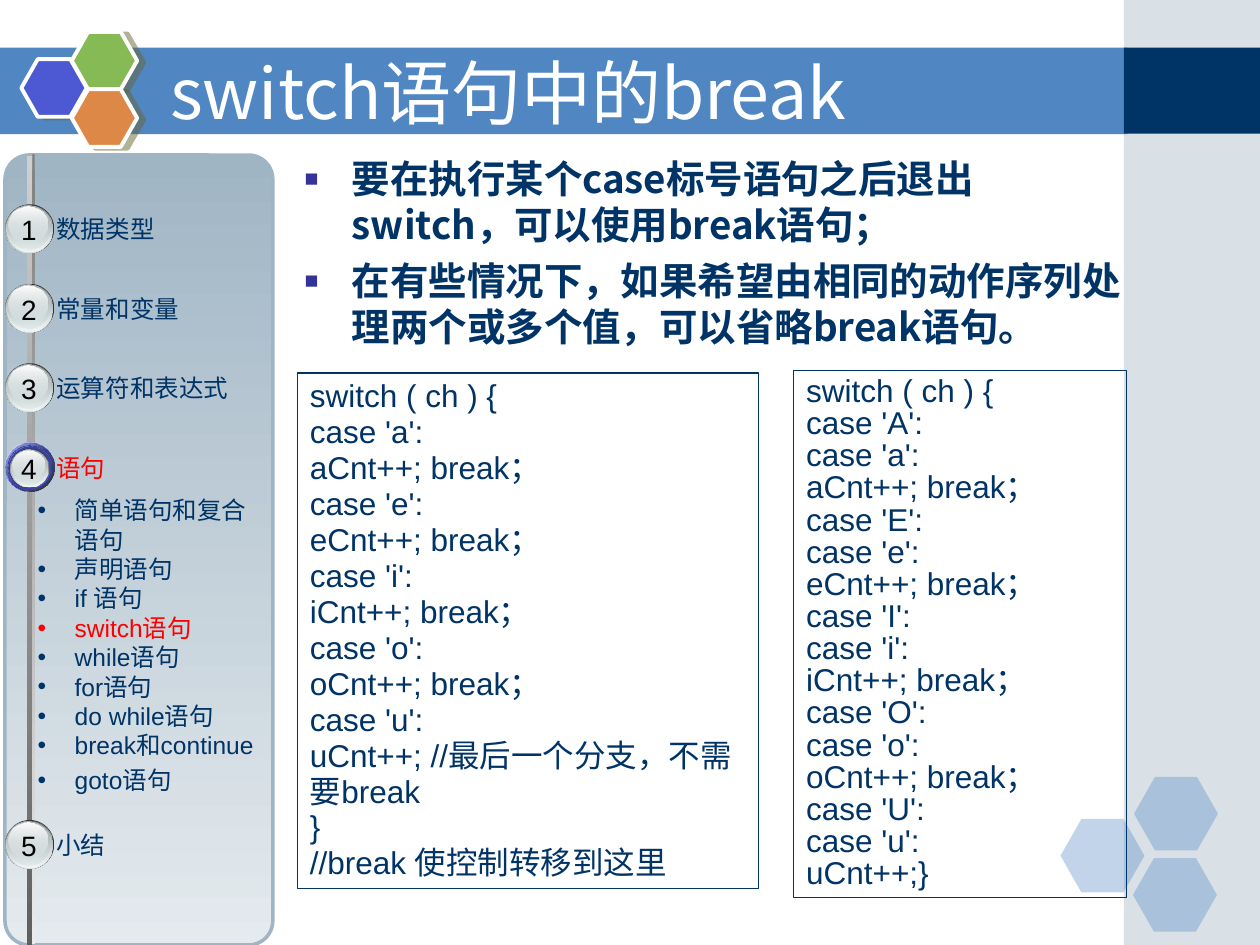
from pptx import Presentation
from pptx.dml.color import RGBColor
from pptx.enum.shapes import MSO_SHAPE
from pptx.enum.text import MSO_ANCHOR, MSO_AUTO_SIZE, PP_ALIGN
from pptx.oxml import parse_xml
from pptx.oxml.ns import nsdecls, qn
from pptx.util import Pt

RECT, ROUNDED = MSO_SHAPE.RECTANGLE, MSO_SHAPE.ROUNDED_RECTANGLE
HEXAGON, OVAL = MSO_SHAPE.HEXAGON, MSO_SHAPE.OVAL
MIDDLE, TOP = MSO_ANCHOR.MIDDLE, MSO_ANCHOR.TOP
GROW, FIXED = MSO_AUTO_SIZE.SHAPE_TO_FIT_TEXT, MSO_AUTO_SIZE.NONE
LEFT, CENTER = PP_ALIGN.LEFT, PP_ALIGN.CENTER
SANS, CJK = "Arial", "Noto Sans CJK SC"
NAVY, BLUE, STEEL, INDIGO, RED = "003366", "5086C2", "A0B5C4", "4C59D2", "FF0000"

BADGE_LEFT = 3
BADGE_TOP = 116.8
BADGE_STEP = 45.4
GREY_DISC = [
    (0, 0, 28, 28, [(0, "333333", 100), (100, "333333", 100)]),
    (0, 0.4, 27.4, 27.4, [(0, "636869", 100), (100, "D6E1E2", 100)]),
    (0.5, 0.5, 26.6, 26.6, [(0, "D6E1E2", 0), (100, "F1F5F5", 100)]),
    (0.7, 0.6, 25.4, 25.2, [(0, "AAB2B3", 100), (100, "D6E1E2", 48)]),
    (1.9, 1.2, 22.4, 20.2, [(0, "FFFFFF", 100), (100, "D6E1E2", 38)]),
]
BLUE_RING = [
    (0, 0, 28, 45, [(0, "FFFFFF", 100), (50, INDIGO, 100), (100, "FFFFFF", 100)]),
    (0, 0, 28, 45, [(0, INDIGO, 32), (100, "000000", 90)]),
    (1.6, 1.8, 24.6, 315, [(0, "293072", 100), (50, INDIGO, 100), (100, "293072", 100)]),
    (2, 2.1, 24.4, 45, [(0, "303985", 100), (100, INDIGO, 0)]),
]
CHAPTERS = ["数据类型", "常量和变量", "运算符和表达式", "语句", "小结"]
ACTIVE_CHAPTER = "语句"
TOPICS = ["简单语句和复合语句", "声明语句", "if 语句", "switch语句", "while语句",
          "for语句", "do while语句", "break和continue", "goto语句"]
ACTIVE_TOPIC = "switch语句"
POINTS = ["要在执行某个case标号语句之后退出switch，可以使用break语句；",
          "在有些情况下，如果希望由相同的动作序列处理两个或多个值，可以省略break语句。"]
LOWER_CODE = """switch ( ch ) {
case 'a':
aCnt++; break；
case 'e':
eCnt++; break；
case 'i':
iCnt++; break；
case 'o':
oCnt++; break；
case 'u':
uCnt++; //最后一个分支，不需要break
}
//break 使控制转移到这里"""
BOTH_CODE = """switch ( ch ) {
case 'A':
case 'a':
aCnt++; break；
case 'E':
case 'e':
eCnt++; break；
case 'I':
case 'i':
iCnt++; break；
case 'O':
case 'o':
oCnt++; break；
case 'U':
case 'u':
uCnt++;}"""


def rgb(value):
    return RGBColor.from_string(value)


def set_all(target, values):
    for name, value in values.items():
        setattr(target, name, value)


def color_xml(value, alpha):
    return (f'<a:srgbClr {nsdecls("a")} val="{value}">'
            f'<a:alpha val="{alpha * 1000}"/></a:srgbClr>')


def add_shape(shapes, kind, box, fill=None, alpha=100, line=None, width=1):
    sp = shapes.add_shape(kind, *map(Pt, box))
    sp.shadow.inherit = False
    if fill:
        sp.fill.solid()
        sp.fill.fore_color.rgb = rgb(fill)
        if alpha < 100:
            solid = sp.element.spPr.find(qn("a:solidFill"))
            solid.replace(solid[0], parse_xml(color_xml(fill, alpha)))
    else:
        sp.fill.background()
    if line:
        sp.line.color.rgb = rgb(line)
        sp.line.width = Pt(width)
    else:
        sp.line.fill.background()
    return sp


def add_gradient(shapes, kind, box, stops, angle, **style):
    sp = add_shape(shapes, kind, box, **style)
    sp.fill.gradient()
    sp.fill.gradient_angle = (360 - angle) % 360
    gs_list = sp.element.spPr.find(qn("a:gradFill")).find(qn("a:gsLst"))
    gs_list.clear()
    for pos, value, alpha in stops:
        gs_list.append(parse_xml(f'<a:gs {nsdecls("a")} pos="{pos * 1000}">'
                                 f'{color_xml(value, alpha)}</a:gs>'))
    return sp


def add_hexagon(shapes, box, **style):
    sp = add_shape(shapes, HEXAGON, box, **style)
    sp.adjustments[0] = 0.285
    return sp


def add_bullet(p, char, color, indent, percent=100):
    pPr = p._p.get_or_add_pPr()
    pPr.set("marL", str(Pt(indent)))
    pPr.set("indent", str(-Pt(indent)))
    for xml in (f'<a:buClr {nsdecls("a")}><a:srgbClr val="{color}"/></a:buClr>',
                f'<a:buSzPct {nsdecls("a")} val="{percent * 1000}"/>',
                f'<a:buFont {nsdecls("a")} typeface="{SANS}"/>',
                f'<a:buChar {nsdecls("a")} char="{char}"/>'):
        pPr.append(parse_xml(xml))


def write(tf, lines, size, color=NAVY, name=SANS, bold=False, align=LEFT,
          spacing=None, frame=None):
    set_all(tf, {"word_wrap": True, "vertical_anchor": TOP, "auto_size": GROW,
                 **(frame or {})})
    for i, line in enumerate(lines):
        p = tf.paragraphs[0] if i == 0 else tf.add_paragraph()
        set_all(p, {"alignment": align, "line_spacing": spacing})
        r = p.add_run()
        r.text = line
        set_all(r.font, {"size": Pt(size), "name": name, "bold": bold})
        r.font.color.rgb = rgb(color)
        r._r.get_or_add_rPr().append(
            parse_xml(f'<a:ea {nsdecls("a")} typeface="{CJK}"/>'))
    return tf.paragraphs


def add_text(shapes, box, lines, size, **style):
    tb = shapes.add_textbox(*map(Pt, box))
    return write(tb.text_frame, lines, size, **style)


def add_disc(shapes, left, top, scale=1):
    for dx, dy, w, h, stops in GREY_DISC:
        box = (left + dx * scale, top + dy * scale, w * scale, h * scale)
        add_gradient(shapes, OVAL, box, stops, 90)


def add_chapter(shapes, number, label, top):
    active = label == ACTIVE_CHAPTER
    add_text(shapes, (25.2, top + 2.2, 124, 24.5), [label], 14,
             color=RED if active else NAVY, name=SANS if active else CJK)
    if active:
        for dx, dy, size, angle, stops in BLUE_RING:
            add_gradient(shapes, OVAL, (BADGE_LEFT + dx, top + dy, size, size), stops, angle)
        add_disc(shapes, BADGE_LEFT + 2.9, top + 3.3, 0.8)
    else:
        add_disc(shapes, BADGE_LEFT, top)
    add_text(shapes, (5, top + 1.3, 23, 26.6), [str(number)], 16, color="000000",
             align=CENTER, frame={"word_wrap": False})


def add_background(shapes):
    add_shape(shapes, RECT, (-0.7, 27.2, 645, 49.4), BLUE)
    side = shapes.add_group_shape().shapes
    add_shape(side, RECT, (642.2, 0, 77.8, 540), STEEL, 40)
    add_shape(side, RECT, (642.2, 27.2, 77.8, 49.2), NAVY)
    for left, top in ((606, 468), (648, 444), (647.4, 490.4)):
        add_hexagon(shapes, (left, top, 48, 42), fill=BLUE, alpha=35)
    emblem = shapes.add_group_shape().shapes
    for left, top, fill in ((12.2, 33.8, INDIGO), (41, 18.2, "85BA54"), (41, 51, "DE8848")):
        sp = add_hexagon(emblem, (left, top, 37.4, 33), fill=fill, line="FFFFFF", width=2.25)
        sp.element.spPr.find(qn("a:effectLst")).append(parse_xml(
            f'<a:outerShdw {nsdecls("a")} blurRad="0" dist="{Pt(4.1)}" '
            f'dir="{14 * 60000}" algn="ctr" rotWithShape="0">'
            f'{color_xml("666633", 50)}</a:outerShdw>'))


def add_title(s):
    title = s.shapes.title
    s.shapes.element.append(title.element)
    set_all(title, dict(zip(("left", "top", "width", "height"),
                            map(Pt, (90, 30.2, 599, 44.6)))))
    write(title.text_frame, ["switch语句中的break"], 40, color="FFFFFF", name=CJK,
          frame={"vertical_anchor": MIDDLE, "auto_size": FIXED})


def add_sidebar(shapes):
    panel = add_gradient(shapes, ROUNDED, (2.9, 88.6, 153, 451.4),
                         [(0, STEEL, 100), (100, "E4EAEE", 100)], 90, line=STEEL, width=2)
    panel.adjustments[0] = 0.09
    for left, top, height, start, end in ((-206.6, 313.2, 1.4, "808080", "ECECEC"),
                                          (-208.8, 313.2, 2.9, "CFCFCF", "5F5F5F")):
        rod = add_gradient(shapes, RECT, (left, top, 451.4, height),
                           [(0, start, 100), (100, end, 100)], 0)
        rod.rotation = 90
    for i, label in enumerate(CHAPTERS):
        top = 468.6 if i == len(CHAPTERS) - 1 else BADGE_TOP + i * BADGE_STEP
        add_chapter(shapes, i + 1, label, top)
    topics = add_text(shapes, (14.4, 279.4, 147.6, 197.3), TOPICS, 14)
    for p, topic in zip(topics, TOPICS):
        color = RED if topic == ACTIVE_TOPIC else NAVY
        add_bullet(p, "•", color, 21.2)
        p.runs[0].font.color.rgb = rgb(color)
    topics[-1].space_before = Pt(3)


def add_code(shapes, box, code, spacing):
    sp = add_shape(shapes, RECT, box, line=NAVY, width=0.75)
    write(sp.text_frame, code.splitlines(), 18, spacing=spacing)


def main():
    prs = Presentation()
    prs.slide_width, prs.slide_height = Pt(720), Pt(540)
    s = prs.slides.add_slide(prs.slide_layouts[5])
    add_background(s.shapes)
    add_title(s)
    points = add_text(s.shapes, (167, 85, 481.7, 440.6), POINTS, 22, name=CJK, bold=True,
                      frame={"auto_size": FIXED})
    for p in points:
        add_bullet(p, "■", "333399", 27, 60)
    points[1].space_before = Pt(5.5)
    add_sidebar(s.shapes.add_group_shape().shapes)
    add_code(s.shapes, (170, 213.2, 263.6, 294.4), LOWER_CODE, 0.95)
    add_code(s.shapes, (453.6, 211.8, 190, 301), BOTH_CODE, 0.85)
    prs.save("out.pptx")


if __name__ == "__main__":
    main()
